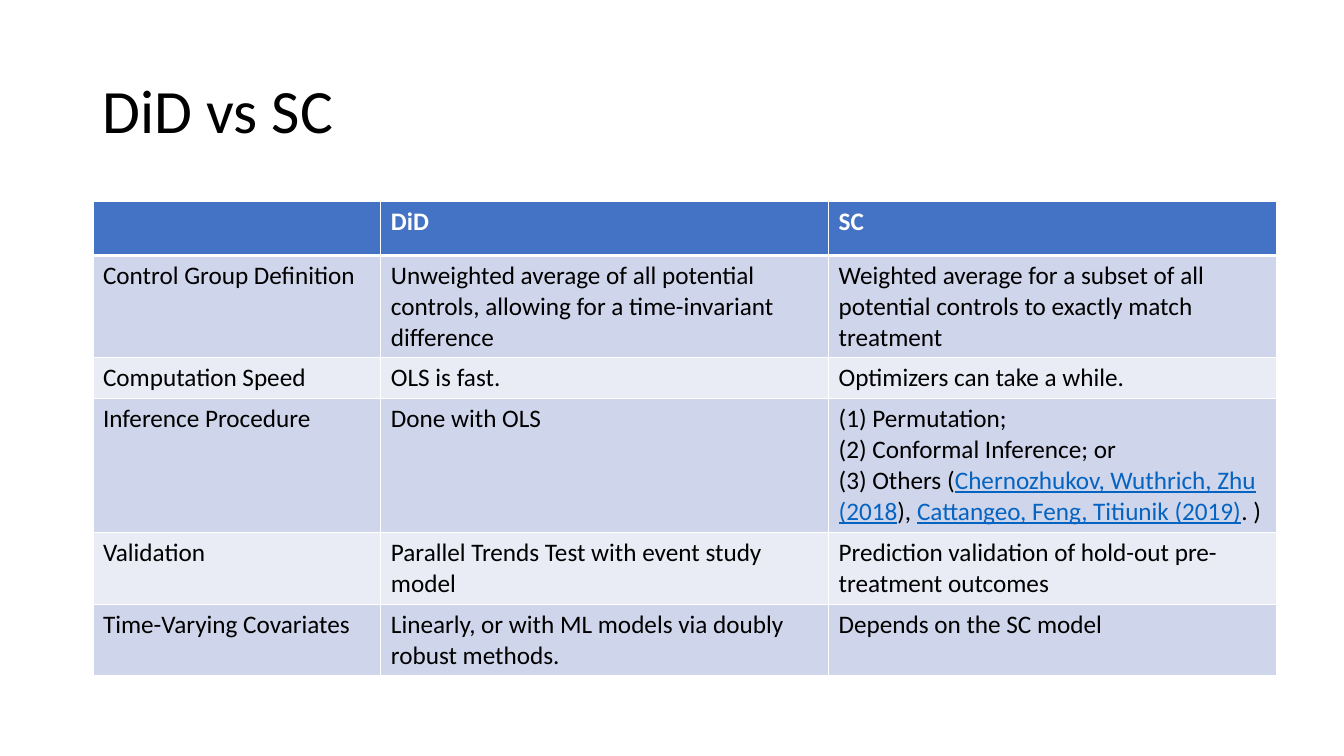
from dataclasses import dataclass
from lxml.etree import SubElement
from pptx import Presentation
from pptx.dml.color import RGBColor as Color
from pptx.enum.text import MSO_ANCHOR as Anchor, PP_ALIGN as Align
from pptx.oxml.ns import qn
from pptx.util import Pt


@dataclass(frozen=True)
class Theme:
    font: str = "Calibri"
    title_size: int = 44
    table_size: int = 18
    ink: str = "000000"
    white: str = "FFFFFF"
    link: str = "0563C1"
    header: str = "4472C4"
    bands: tuple = ("E9EBF5", "CFD5EA")


theme = Theme()


def style_font(font, size, color, bold=False):
    font.name = theme.font
    font.size = Pt(size)
    font.bold = bold
    font.color.rgb = Color.from_string(color)


def add_border(cell, side, width):
    line = SubElement(cell._tc.get_or_add_tcPr(), qn(f"a:ln{side}"), w=str(Pt(width)))
    fill = SubElement(line, qn("a:solidFill"))
    SubElement(fill, qn("a:srgbClr"), val=theme.white)


deck = Presentation()
deck.slide_width = Pt(960)
deck.slide_height = Pt(540)
page = deck.slides.add_slide(deck.slide_layouts[5])

title = page.shapes.title
title.left, title.top, title.width, title.height = Pt(66), Pt(28.75), Pt(828), Pt(104.4)
title.text_frame.text = "DiD vs SC"
title.text_frame.vertical_anchor = Anchor.MIDDLE
heading = title.text_frame.paragraphs[0]
heading.alignment = Align.LEFT
heading.line_spacing = 0.9
style_font(heading.font, theme.title_size, theme.ink)

comparison = [
    ("", "DiD", "SC"),
    ("Control Group Definition",
     "Unweighted average of all potential controls, allowing for a time-invariant difference",
     "Weighted average for a subset of all potential controls to exactly match treatment"),
    ("Computation Speed", "OLS is fast.", "Optimizers can take a while."),
    ("Inference Procedure", "Done with OLS",
     "(1) Permutation;\v(2) Conformal Inference; or\v(3) Others ("),
    ("Validation", "Parallel Trends Test with event study model",
     "Prediction validation of hold-out pre-treatment outcomes"),
    ("Time-Varying Covariates", "Linearly, or with ML models via doubly robust methods.",
     "Depends on the SC model"),
]
column_widths = [205.7, 319.8, 319.8]
row_heights = [38.5, 73, 29.3, 95.5, 51, 51]

table = page.shapes.add_table(
    len(row_heights), len(column_widths), Pt(66.4), Pt(144),
    Pt(sum(column_widths)), Pt(sum(row_heights))).table
for column, width in zip(table.columns, column_widths):
    column.width = Pt(width)
for row, height in zip(table.rows, row_heights):
    row.height = Pt(height)

for row_index, texts in enumerate(comparison):
    is_header = row_index == 0
    for column_index, text in enumerate(texts):
        cell = table.cell(row_index, column_index)
        for side in "LRTB":
            thick = (row_index, side) in [(0, "B"), (1, "T")]
            add_border(cell, side, 3 if thick else 1)
        cell.fill.solid()
        cell.fill.fore_color.rgb = Color.from_string(
            theme.header if is_header else theme.bands[row_index % 2])
        para = cell.text_frame.paragraphs[0]
        para.text = text
        style_font(para.font, theme.table_size, theme.white if is_header else theme.ink, is_header)
        for span in para.runs:
            style_font(span.font, theme.table_size, theme.white if is_header else theme.ink, is_header)

references = [
    ("Chernozhukov, Wuthrich, Zhu (2018", True),
    ("), ", False),
    ("Cattangeo, Feng, Titiunik (2019)", True),
    (". )", False),
]
inference = table.cell(3, 2).text_frame.paragraphs[0]
for text, is_link in references:
    span = inference.add_run()
    span.text = text
    style_font(span.font, theme.table_size, theme.link if is_link else theme.ink)
    span.font.underline = is_link

deck.save("out.pptx")
